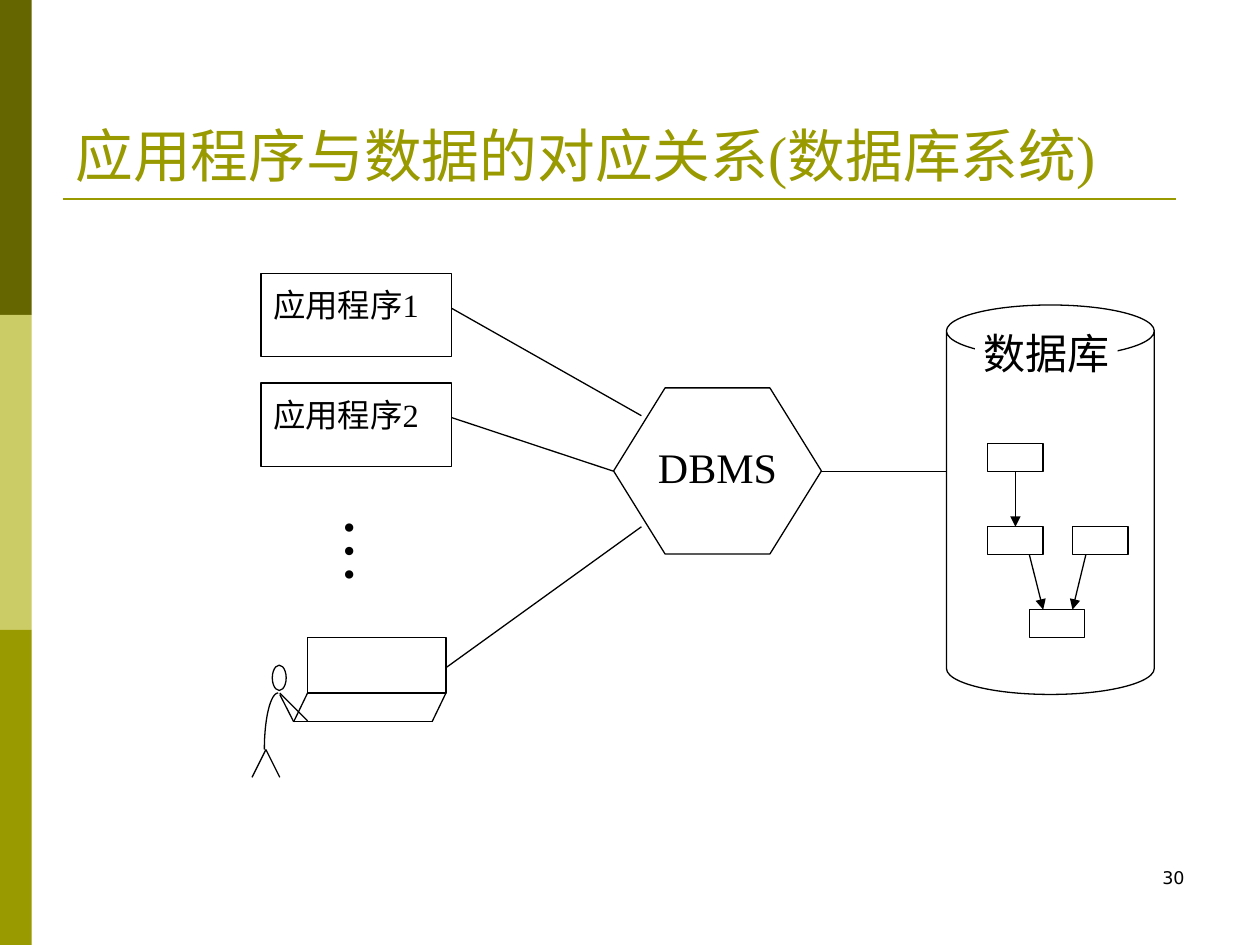
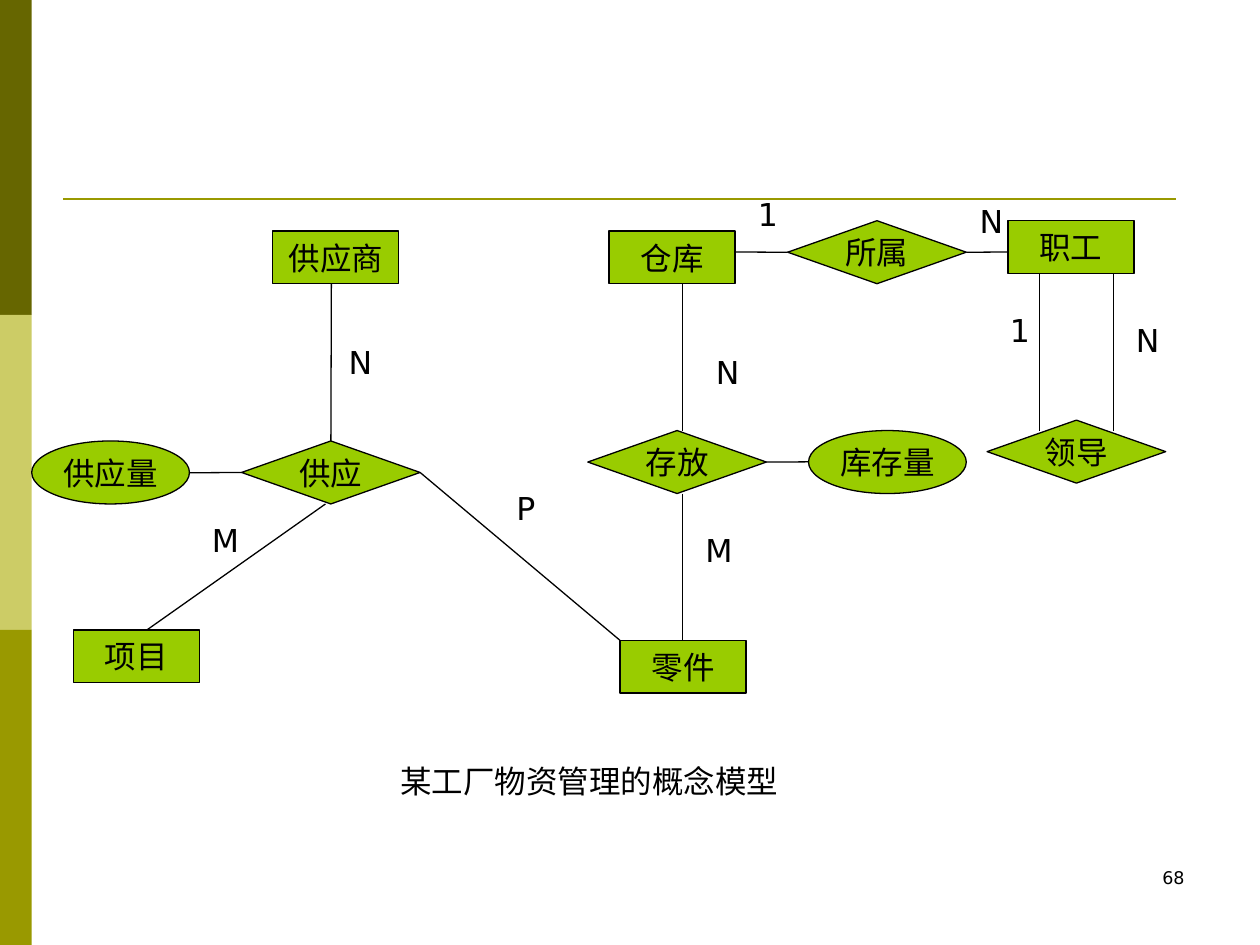
from math import cos, pi, sin

from lxml import etree
from pptx import Presentation
from pptx.dml.color import RGBColor
from pptx.enum.shapes import MSO_CONNECTOR, MSO_SHAPE
from pptx.enum.text import MSO_ANCHOR, PP_ALIGN
from pptx.oxml.ns import qn
from pptx.util import Cm, Pt

RECTANGLE, DIAMOND, OVAL = MSO_SHAPE.RECTANGLE, MSO_SHAPE.FLOWCHART_DECISION, MSO_SHAPE.OVAL
HEXAGON, CAN, HEAD = MSO_SHAPE.HEXAGON, MSO_SHAPE.CAN, MSO_SHAPE.FLOWCHART_CONNECTOR
STRAIGHT = MSO_CONNECTOR.STRAIGHT
LEFT, CENTER, RIGHT, JUSTIFY = PP_ALIGN.LEFT, PP_ALIGN.CENTER, PP_ALIGN.RIGHT, PP_ALIGN.JUSTIFY
TOP, MIDDLE, BOTTOM = MSO_ANCHOR.TOP, MSO_ANCHOR.MIDDLE, MSO_ANCHOR.BOTTOM
SITE_TOP, SITE_LEFT, SITE_BOTTOM, SITE_RIGHT = range(4)

SERIF, SANS = "Times New Roman", "DejaVu Sans"
BLACK, WHITE, OLIVE, GREEN = "000000", "FFFFFF", "999900", "99CC00"
BAND_COLOURS = ["666600", "CCCC66", OLIVE]
BAND_WIDTH, BAND_HEIGHT = 0.64, 6.35
TITLE_BOX = (1.27, 0.76, 22.86, 3.18)
TITLE_RULE = ((1.27, 4.01), (23.7, 4.01))
PAGE_NUMBER_BOX = (18.21, 17.35, 5.92, 1.27)
NORMAL_INSETS = (0.25, 0.13, 0.25, 0.13)

# Slide 30: applications, DBMS and database (all lengths in cm)
SYSTEM_TITLE = "应用程序与数据的对应关系(数据库系统)"
APPLICATIONS = ["应用程序1", "应用程序2"]
APPLICATION_BOX, APPLICATION_STEP = (5.26, 5.51, 3.84, 1.68), 2.21
DBMS_BOX = (12.37, 7.82, 4.19, 3.35)
DATABASE_BOX = (19.08, 6.15, 4.19, 7.85)
DATABASE_LABEL_BOX = (19.66, 6.6, 2.87, 1.12)
ELLIPSIS_BOX = (6.35, 10.16, 2.18, 2.34)
RECORD_SIZE = (1.12, 0.56)
RECORDS = [(19.91, 8.94), (19.91, 10.62), (21.62, 10.62), (20.75, 12.29)]
RECORD_ARROWS = [((20.75, 11.18), (21.03, 12.29)), ((21.89, 11.18), (21.62, 12.29))]
DBMS_LINES = [
    ((16.56, 9.5), (19.08, 9.5)),
    ((8.99, 6.15), (12.93, 8.38)),
    ((8.99, 8.38), (12.37, 9.5)),
    ((8.99, 13.46), (12.93, 10.62)),
]
SCREEN_BOX = (6.2, 12.85, 2.79, 1.12)
HEAD_BOX = (5.49, 13.41, 0.28, 0.51)
BACK_CENTER, BACK_RADII, BACK_STEPS = (5.61, 15.11), (0.28, 1.14), 16
USER_LINES = [
    ((6.2, 13.97), (5.92, 14.55)),
    ((8.99, 13.97), (8.71, 14.55)),
    ((5.92, 14.55), (8.71, 14.55)),
    ((5.64, 14), (5.92, 14.55)),
    ((5.64, 13.97), (6.2, 14.53)),
    ((5.36, 15.11), (5.64, 15.67)),
    ((5.36, 15.11), (5.08, 15.67)),
]

# Slide 68: entity-relationship model
MODEL_CAPTION = "某工厂物资管理的概念模型"
CAPTION_BOX = (3.81, 15.24, 16.13, 1.02)
MODEL_PARTS = [  # preset, size, {text: left and top}
    (RECTANGLE, (2.54, 1.06), {
        "供应商": (5.5, 4.66), "仓库": (12.28, 4.66), "职工": (20.32, 4.45),
        "零件": (12.5, 12.91), "项目": (1.48, 12.7)}),
    (DIAMOND, (3.6, 1.27), {
        "供应": (4.87, 8.89), "领导": (19.9, 8.47),
        "存放": (11.85, 8.68), "所属": (15.88, 4.45)}),
    (OVAL, (3.18, 1.27), {"库存量": (16.3, 8.68), "供应量": (0.64, 8.89)}),
]
MODEL_LINES = [  # each end is a point or a part with its connection site
    ((6.68, 5.72), ("供应", SITE_TOP)),
    ((6.56, 10.16), (2.96, 12.7)),
    (("供应", SITE_RIGHT), (12.5, 12.91)),
    (("供应", SITE_LEFT), (3.81, 9.53)),
    ((13.76, 5.72), (13.76, 8.68)),
    ((13.76, 9.95), (13.76, 12.91)),
    ((14.82, 5.08), ("所属", SITE_LEFT)),
    (("所属", SITE_RIGHT), (20.32, 5.08)),
    ((22.44, 5.51), (22.44, 8.68)),
    ((20.96, 5.51), (20.96, 8.68)),
    (("存放", SITE_RIGHT), (16.3, 9.31)),
]
LABEL_HEIGHT = 1.02
CARDINALITIES = [  # text, left, top, width
    ("1", 15.03, 3.81, 0.69), ("1", 20.11, 6.15, 0.69), ("N", 22.65, 6.35, 1.09),
    ("N", 6.78, 6.78, 0.69), ("P", 10.16, 9.73, 0.84), ("M", 4.02, 10.37, 1.07),
    ("N", 14.18, 6.99, 0.69), ("M", 13.97, 10.58, 1.07), ("N", 19.5, 3.94, 0.69),
]


def colour(value):
    return RGBColor.from_string(value)


def lengths(values):
    return [Cm(value) for value in values]


def write(shape, text, size, font=SANS, text_colour=BLACK, align=LEFT, anchor=TOP,
          insets=NORMAL_INSETS, wrap=True):
    frame = shape.text_frame
    frame.text = text
    frame.word_wrap = wrap
    frame.vertical_anchor = anchor
    (frame.margin_left, frame.margin_top,
     frame.margin_right, frame.margin_bottom) = lengths(insets)
    paragraph = frame.paragraphs[0]
    paragraph.alignment = align
    run_font = paragraph.runs[0].font
    run_font.size = Pt(size)
    run_font.name = font
    run_font.color.rgb = colour(text_colour)
    return paragraph


def add_text(slide, box, text, size, **style):
    shape = slide.shapes.add_textbox(*lengths(box))
    write(shape, text, size, **style)
    return shape


def add_box(slide, preset, box, fill=WHITE, line=BLACK):
    shape = slide.shapes.add_shape(preset, *lengths(box))
    shape.shadow.inherit = False
    shape.fill.solid()
    shape.fill.fore_color.rgb = colour(fill)
    if line:
        shape.line.color.rgb = colour(line)
        shape.line.width = Pt(0.75)
    else:
        shape.line.fill.background()
    return shape


def add_line(slide, start, end, line=BLACK, width=0.75, arrow=False):
    """Draw a straight line; an end is a point or a (shape, site) pair."""
    ends = (start, end)
    points = [(0, 0) if hasattr(first, "shape_id") else (first, second)
              for first, second in ends]
    connector = slide.shapes.add_connector(STRAIGHT, *lengths(points[0] + points[1]))
    for target, connect in zip(ends, (connector.begin_connect, connector.end_connect)):
        if hasattr(target[0], "shape_id"):
            connect(*target)
    connector.line.color.rgb = colour(line)
    connector.line.width = Pt(width)
    properties = connector.element.spPr
    if arrow:
        etree.SubElement(properties.find(qn("a:ln")), qn("a:tailEnd"), type="triangle")
    etree.SubElement(properties, qn("a:effectLst"))
    return connector


def furnish_layout(layout, slide):
    """Draw the bands and the title rule on a slide, then move them to its layout."""
    title = layout.placeholders[0]
    title.left, title.top, title.width, title.height = lengths(TITLE_BOX)
    furniture = [
        add_box(slide, RECTANGLE, (0, row * BAND_HEIGHT, BAND_WIDTH, BAND_HEIGHT), fill, None)
        for row, fill in enumerate(BAND_COLOURS)
    ]
    furniture.append(add_line(slide, *TITLE_RULE, OLIVE, 1.5))
    for shape in furniture:
        layout.shapes.element.append(shape.element)


def add_slide(presentation, layout, number, title=None):
    slide = presentation.slides.add_slide(layout)
    placeholder = slide.shapes.title
    if title:
        write(placeholder, title, 33, SERIF, OLIVE, anchor=BOTTOM)
    else:
        placeholder.element.getparent().remove(placeholder.element)
    add_text(slide, PAGE_NUMBER_BOX, number, 10, align=RIGHT)
    return slide


def draw_user(slide):
    add_box(slide, RECTANGLE, SCREEN_BOX)
    add_box(slide, HEAD, HEAD_BOX)
    for start, end in USER_LINES:
        add_line(slide, start, end)
    (center_x, center_y), (radius_x, radius_y) = BACK_CENTER, BACK_RADII
    angles = [step * pi / 2 / BACK_STEPS for step in range(BACK_STEPS + 1)]
    points = [lengths((center_x - radius_x * sin(angle), center_y - radius_y * cos(angle)))
              for angle in angles]
    builder = slide.shapes.build_freeform(*points[0], scale=1.0)
    builder.add_line_segments(points[1:], close=False)
    back = builder.convert_to_shape()
    back.shadow.inherit = False
    back.fill.background()
    back.line.color.rgb = colour(BLACK)
    back.line.width = Pt(0.75)


def draw_database(slide):
    add_box(slide, CAN, DATABASE_BOX)
    records = [add_box(slide, RECTANGLE, place + RECORD_SIZE) for place in RECORDS]
    add_line(slide, (records[0], SITE_BOTTOM), (records[1], SITE_TOP), arrow=True)
    for start, end in RECORD_ARROWS:
        add_line(slide, start, end, arrow=True)
    label = add_box(slide, RECTANGLE, DATABASE_LABEL_BOX, line=None)
    write(label, "数据库", 24, SERIF, align=CENTER, insets=(0, 0, 0, 0))


def draw_system(slide):
    draw_user(slide)
    dbms = add_box(slide, HEXAGON, DBMS_BOX)
    dbms.adjustments[0] = 0.31
    write(dbms, "DBMS", 24, SERIF, align=CENTER, insets=(0, 0.53, 0, 0.13))
    draw_database(slide)
    for start, end in DBMS_LINES:
        add_line(slide, start, end)
    left, top, width, height = APPLICATION_BOX
    for row, name in enumerate(APPLICATIONS):
        box = add_box(slide, RECTANGLE, (left, top + row * APPLICATION_STEP, width, height))
        paragraph = write(box, name, 18.5, SERIF, align=JUSTIFY, insets=(0.25, 0.33, 0.25, 0.13))
        paragraph.line_spacing = 0.9
    ellipsis = add_text(slide, ELLIPSIS_BOX, "…", 40, font=SERIF, insets=(0.13, 0.25, 0.13, 0.25))
    ellipsis.element.find(".//" + qn("a:bodyPr")).set("vert", "eaVert")


def draw_model(slide):
    parts = {}
    for preset, size, places in MODEL_PARTS:
        for name, place in places.items():
            parts[name] = add_box(slide, preset, place + size, GREEN)
            write(parts[name], name, 18, align=CENTER, anchor=MIDDLE, wrap=False)
    for ends in MODEL_LINES:
        add_line(slide, *[(parts.get(first, first), second) for first, second in ends])
    for text, left, top, width in CARDINALITIES:
        add_text(slide, (left, top, width, LABEL_HEIGHT), text, 18)
    add_text(slide, CAPTION_BOX, MODEL_CAPTION, 18, align=CENTER)


def main():
    presentation = Presentation()
    presentation.slide_width, presentation.slide_height = Cm(25.4), Cm(19.05)
    layout = presentation.slide_layouts[5]
    system_slide = add_slide(presentation, layout, "30", SYSTEM_TITLE)
    furnish_layout(layout, system_slide)
    draw_system(system_slide)
    draw_model(add_slide(presentation, layout, "68"))
    presentation.save("out.pptx")


if __name__ == "__main__":
    main()
